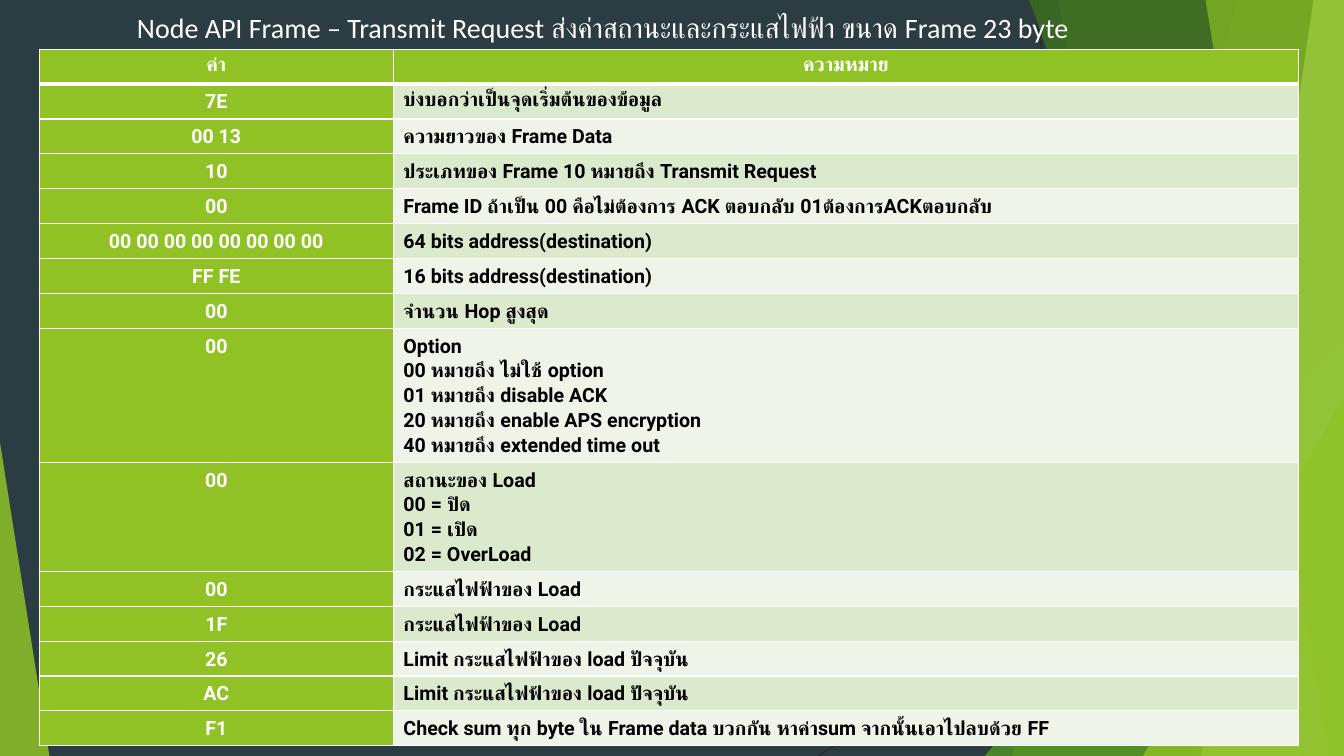
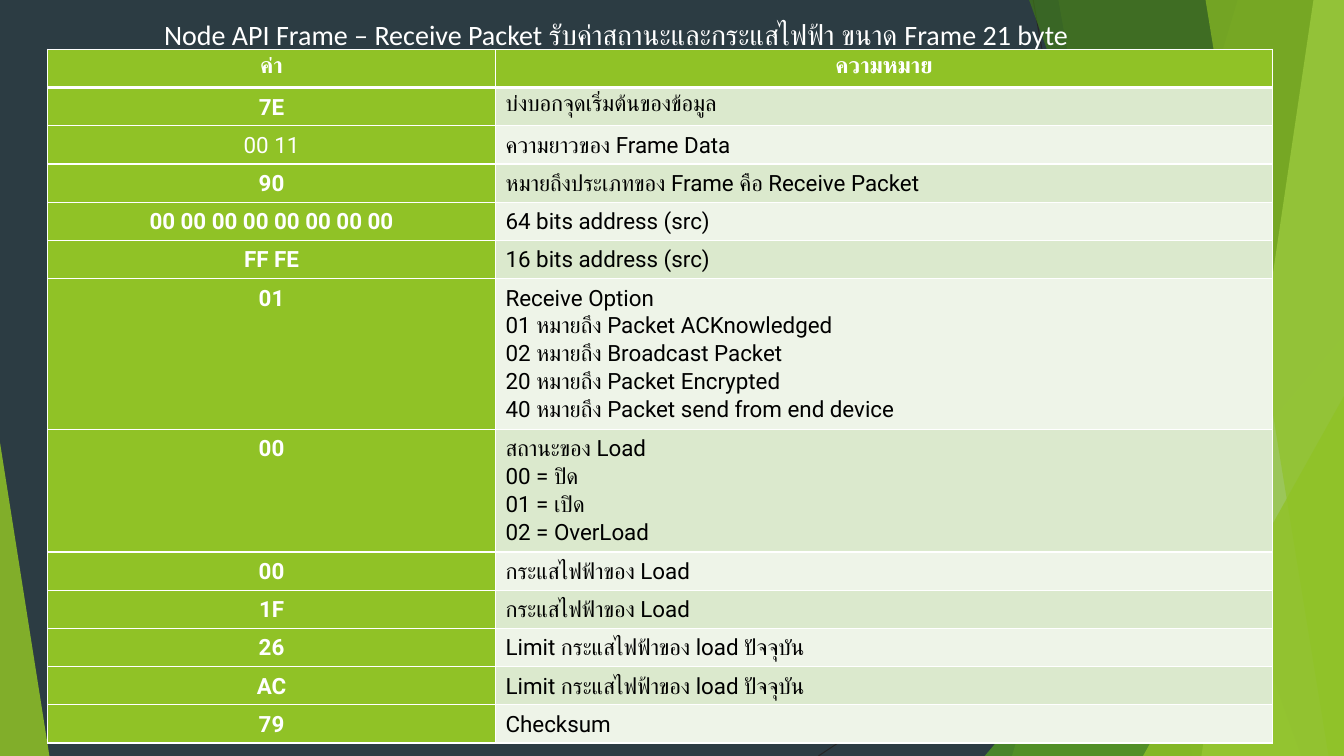
"""Build two slides that explain the fields of radio API frames."""
from dataclasses import dataclass

from lxml.etree import SubElement
from pptx import Presentation
from pptx.dml.color import RGBColor
from pptx.enum.shapes import MSO_CONNECTOR as Connector, MSO_SHAPE as Preset
from pptx.enum.text import MSO_AUTO_SIZE as AutoSize, PP_ALIGN as Align
from pptx.oxml.ns import qn
from pptx.shapes.autoshape import Shape
from pptx.slide import Slide
from pptx.table import _Cell as Cell
from pptx.text.text import TextFrame
from pptx.util import Pt

SLIDE_WIDTH, SLIDE_HEIGHT = 960, 540
NAVY = RGBColor(0x2C, 0x3C, 0x43)
CHARCOAL = RGBColor(0x26, 0x26, 0x26)
LIME = RGBColor(0x90, 0xC2, 0x26)
GREEN = RGBColor(0x54, 0xA0, 0x21)
FOREST = RGBColor(0x3F, 0x78, 0x19)
PALE_LIME = RGBColor(0xC0, 0xE4, 0x74)
ROW_TINTS = (RGBColor(0xDB, 0xE9, 0xCD), RGBColor(0xEE, 0xF4, 0xE8))
WHITE = RGBColor(0xFF, 0xFF, 0xFF)
BLACK = RGBColor(0, 0, 0)
TITLE_FONT, TABLE_FONT = "Calibri", "Roboto"
CELL_PADDING = 7.2


@dataclass(frozen=True)
class Band:
    """A slanted band that reaches the right edge of the slide."""
    top_x: float
    bottom_x: float
    color: RGBColor
    opacity: int


@dataclass(frozen=True)
class Corner:
    """A triangle that stands on the bottom edge of the slide."""
    left: float
    top: float
    width: float
    apex: float
    color: RGBColor
    opacity: int


@dataclass(frozen=True)
class Field:
    """One row of a frame table."""
    value: str
    meaning: str
    bold_value: bool = True


@dataclass(frozen=True)
class FrameSlide:
    """The title and the table of one slide."""
    title: str
    title_center: float
    title_top: float
    left: float
    columns: tuple[float, float]
    size: int
    line_height: float
    bold_meaning: bool
    fields: tuple[Field, ...]


DECORATION = (
    Band(884.2, 722.9, LIME, 30),
    Band(756, 851.8, LIME, 20),
    Corner(703.4, 239.8, 256.6, 1, GREEN, 72),
    Band(735.1, 929.5, FOREST, 70),
    Band(938.2, 858.2, PALE_LIME, 70),
    Band(861.1, 949, LIME, 65),
    Corner(816.5, 283, 143.5, 1, LIME, 80),
    Corner(0, 316.1, 35.3, 0, LIME, 85),
)
RULES = ((738, 0, 833.8, SLIDE_HEIGHT), (SLIDE_WIDTH, 290.2, 584.6, SLIDE_HEIGHT))

LOAD_STATE = Field("00", "สถานะของ Load\n00 = ปิด\n01 = เปิด\n02 = OverLoad")
LOAD_CURRENT = (
    Field("00", "กระแสไฟฟ้าของ Load"),
    Field("1F", "กระแสไฟฟ้าของ Load"),
    Field("26", "Limit กระแสไฟฟ้าของ load ปัจจุบัน"),
    Field("AC", "Limit กระแสไฟฟ้าของ load ปัจจุบัน"),
)
SLIDES = (
    FrameSlide(
        "Node API Frame – Transmit Request ส่งค่าสถานะและกระแสไฟฟ้า ขนาด Frame 23 byte",
        430.5, 2.2, 28, (253, 646.5), 14, 17.65, True,
        (
            Field("7E", "บ่งบอกว่าเป็นจุดเริ่มต้นของข้อมูล"),
            Field("00 13", "ความยาวของ Frame Data"),
            Field("10", "ประเภทของ Frame 10 หมายถึง Transmit Request"),
            Field("00", "Frame ID ถ้าเป็น 00 คือไม่ต้องการ ACK ตอบกลับ 01ต้องการACKตอบกลับ"),
            Field("00 00 00 00 00 00 00 00", "64 bits address(destination)"),
            Field("FF FE", "16 bits address(destination)"),
            Field("00", "จำนวน Hop สูงสุด"),
            Field("00", "Option\n00 หมายถึง ไม่ใช้ option\n01 หมายถึง disable ACK\n"
                        "20 หมายถึง enable APS encryption\n40 หมายถึง extended time out"),
            LOAD_STATE,
            *LOAD_CURRENT,
            Field("F1", "Check sum ทุก byte ใน Frame data บวกกัน หาค่าsum จากนั้นเอาไปลบด้วย FF"),
        ),
    ),
    FrameSlide(
        "Node API Frame – Receive Packet รับค่าสถานะและกระแสไฟฟ้า ขนาด Frame 21 byte",
        440, 7.2, 34, (320, 555), 16, 20.1, False,
        (
            Field("7E", "บ่งบอกจุดเริ่มต้นของข้อมูล"),
            Field("00 11", "ความยาวของ Frame Data", bold_value=False),
            Field("90", "หมายถึงประเภทของ Frame คือ Receive Packet"),
            Field("00 00 00 00 00 00 00 00", "64 bits address (src)"),
            Field("FF FE", "16 bits address (src)"),
            Field("01", "Receive Option\n01 หมายถึง Packet ACKnowledged\n"
                        "02 หมายถึง Broadcast Packet\n20 หมายถึง Packet Encrypted\n"
                        "40 หมายถึง Packet send from end device"),
            LOAD_STATE,
            *LOAD_CURRENT,
            Field("79", "Checksum"),
        ),
    ),
)


def write_text(frame: TextFrame, text: str, *, font: str, size: int, color: RGBColor,
               bold: bool = False, align: Align = Align.LEFT, space_after: float = 0) -> None:
    """Fill a text frame with one paragraph for each line."""
    for index, line in enumerate(text.split("\n")):
        para = frame.add_paragraph() if index else frame.paragraphs[0]
        para.alignment = align
        para.line_spacing = 1.07
        para.space_after = Pt(space_after)
        span = para.add_run()
        span.text = line
        span.font.name = font
        span.font.size = Pt(size)
        span.font.bold = bold
        span.font.color.rgb = color


def paint(shape: Shape, color: RGBColor, opacity: int) -> None:
    """Give a shape a translucent fill and no outline."""
    shape.shadow.inherit = False
    shape.line.fill.background()
    shape.fill.solid()
    shape.fill.fore_color.rgb = color
    tint = shape.element.spPr.find(f"{qn('a:solidFill')}/{qn('a:srgbClr')}")
    SubElement(tint, qn("a:alpha")).set("val", str(opacity * 1000))


def draw_band(slide: Slide, band: Band) -> None:
    """Draw a slanted band."""
    builder = slide.shapes.build_freeform(Pt(band.top_x), Pt(0))
    corners = ((SLIDE_WIDTH, 0), (SLIDE_WIDTH, SLIDE_HEIGHT), (band.bottom_x, SLIDE_HEIGHT))
    builder.add_line_segments([(Pt(x), Pt(y)) for x, y in corners], close=True)
    paint(builder.convert_to_shape(), band.color, band.opacity)


def draw_corner(slide: Slide, corner: Corner) -> None:
    """Draw a corner triangle."""
    triangle = slide.shapes.add_shape(
        Preset.ISOSCELES_TRIANGLE, Pt(corner.left), Pt(corner.top),
        Pt(corner.width), Pt(SLIDE_HEIGHT - corner.top))
    triangle.adjustments[0] = corner.apex
    paint(triangle, corner.color, corner.opacity)


def draw_decoration(slide: Slide) -> None:
    """Draw the rules, bands and triangles behind the content."""
    for ends in RULES:
        rule = slide.shapes.add_connector(Connector.STRAIGHT, *map(Pt, ends))
        rule.line.color.rgb = CHARCOAL
        rule.line.width = Pt(0.75)
        SubElement(rule.element.spPr, qn("a:effectLst"))
    for item in DECORATION:
        if isinstance(item, Band):
            draw_band(slide, item)
        else:
            draw_corner(slide, item)


def style_cell(cell: Cell, fill: RGBColor, bottom: float = 1) -> None:
    """Set the white borders and the fill of a cell."""
    properties = cell._tc.get_or_add_tcPr()
    for side, width in (("L", 1), ("R", 1), ("T", 1), ("B", bottom)):
        border = SubElement(properties, qn(f"a:ln{side}"), w=str(Pt(width)))
        SubElement(SubElement(border, qn("a:solidFill")), qn("a:srgbClr"), val=str(WHITE))
    cell.fill.solid()
    cell.fill.fore_color.rgb = fill


def draw_table(slide: Slide, page: FrameSlide) -> None:
    """Draw the table of frame fields."""
    heights = [CELL_PADDING + page.line_height * lines for lines in
               (1, *(field.meaning.count("\n") + 1 for field in page.fields))]
    table = slide.shapes.add_table(
        len(heights), 2, Pt(page.left), Pt(35.2), Pt(sum(page.columns)), Pt(sum(heights))).table
    table.first_row = table.horz_banding = False
    for column, width in zip(table.columns, page.columns):
        column.width = Pt(width)
    for row, height in zip(table.rows, heights):
        row.height = Pt(height)
    for index, heading in enumerate(("ค่า", "ความหมาย")):
        cell = table.cell(0, index)
        style_cell(cell, LIME, bottom=3)
        write_text(cell.text_frame, heading, font=TABLE_FONT, size=page.size,
                   color=WHITE, bold=True, align=Align.CENTER)
    for index, field in enumerate(page.fields):
        value, meaning = table.cell(index + 1, 0), table.cell(index + 1, 1)
        top_gap = 3 if index == 0 else 1
        style_cell(value, LIME)
        style_cell(meaning, ROW_TINTS[index % 2])
        for cell in (value, meaning):
            cell._tc.tcPr.find(qn("a:lnT")).set("w", str(Pt(top_gap)))
        write_text(value.text_frame, field.value, font=TABLE_FONT, size=page.size,
                   color=WHITE, bold=field.bold_value, align=Align.CENTER)
        write_text(meaning.text_frame, field.meaning, font=TABLE_FONT, size=page.size,
                   color=BLACK, bold=page.bold_meaning)


def draw_title(slide: Slide, page: FrameSlide) -> None:
    """Draw the title on one line, centred on its own axis."""
    width = 680
    box = slide.shapes.add_textbox(
        Pt(page.title_center - width / 2), Pt(page.title_top), Pt(width), Pt(36))
    box.text_frame.word_wrap = False
    box.text_frame.auto_size = AutoSize.NONE
    write_text(box.text_frame, page.title, font=TITLE_FONT, size=20, color=WHITE,
               align=Align.CENTER, space_after=8)


def main() -> None:
    """Build and save the deck."""
    deck = Presentation()
    deck.slide_width, deck.slide_height = Pt(SLIDE_WIDTH), Pt(SLIDE_HEIGHT)
    backdrop = deck.slide_master.background.fill
    backdrop.solid()
    backdrop.fore_color.rgb = NAVY
    for page in SLIDES:
        slide = deck.slides.add_slide(deck.slide_layouts[6])
        draw_decoration(slide)
        draw_table(slide, page)
        draw_title(slide, page)
    deck.save("out.pptx")


if __name__ == "__main__":
    main()
